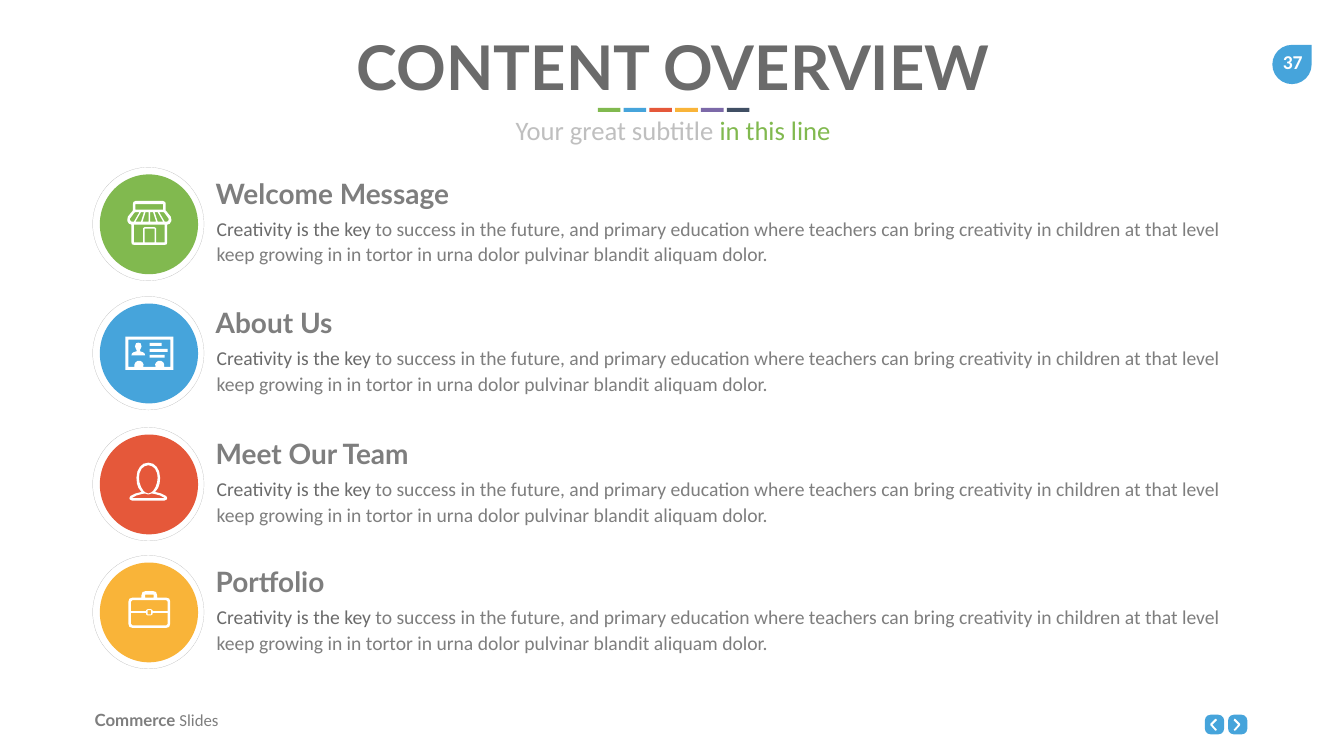
from pptx import Presentation
from pptx.dml.color import RGBColor
from pptx.enum.dml import MSO_LINE
from pptx.enum.shapes import MSO_SHAPE
from pptx.enum.text import PP_ALIGN
from pptx.util import Cm, Pt

RECT, OVAL = MSO_SHAPE.RECTANGLE, MSO_SHAPE.OVAL
ROUND, TEAR = MSO_SHAPE.ROUNDED_RECTANGLE, MSO_SHAPE.TEAR
LEFT, CENTER = PP_ALIGN.LEFT, PP_ALIGN.CENTER
DASH = MSO_LINE.SQUARE_DOT
ICON_UNIT = Cm(2.54) / 100
HEAD, BODY = "Lato", "Calibri"
COLORS = {
    "green": "81B94F", "blue": "46A4DB", "red": "E5583A", "yellow": "F9B439",
    "purple": "7C69A8", "navy": "404F64", "white": "FFFFFF", "dark": "6B6B6B",
    "gray": "7E7E7E", "light": "BFBFBF", "ring": "B2B2B2",
}


def mirrored(half, width):
    """Close an outline by reflecting its left half."""
    return half + [(width - x, y) for x, y in reversed(half)]


def flipped(points, width):
    return [(width - x, y) for x, y in points]


def block(x1, y1, x2, y2):
    return [(x1, y1), (x2, y1), (x2, y2), (x1, y2)]


# Icon outlines; inner contours cut holes
AWNING_EDGE = [(5, 38), (5, 35), (14, 23), (16, 22), (24, 22), (13, 41), (8, 41)]
AWNING_OUTER = [(27, 41), (16, 41), (27, 22), (33, 22)]
AWNING_INNER = [(36, 22), (42, 22), (42, 41), (30, 41)]
SHOP = [
    mirrored([(13, 87), (9, 86), (8, 82), (8, 47), (3, 45), (0, 40), (0, 36),
              (1, 31), (10, 20), (11, 19), (11, 6), (12, 2), (16, 0)], 87),
    block(16, 6, 71, 17),
    AWNING_EDGE, AWNING_OUTER, AWNING_INNER,
    flipped(AWNING_INNER, 87), flipped(AWNING_OUTER, 87), flipped(AWNING_EDGE, 87),
    mirrored([(31, 82), (13, 82), (13, 47)], 87)[:3]
    + [(74, 47), (74, 82), (57, 82), (57, 54), (54, 52), (34, 52), (31, 54)],
    block(34, 55, 54, 82),
]
CARD = [
    block(0, 0, 95, 66),
    mirrored([(6, 6), (6, 60), (18, 60), (18, 55), (20, 51), (24, 48), (27, 48),
              (30, 48), (34, 51), (36, 55), (35, 60)], 95),
    mirrored([(12, 37), (13, 33), (16, 31), (22, 29), (22, 26), (20, 22), (19, 19),
              (20, 16), (21, 13), (25, 12)], 51),
]
PERSON = [
    mirrored([(5, 75), (1, 73), (0, 70), (2, 66), (12, 61), (24, 58), (18, 50),
              (15, 41), (14, 30), (16, 17), (21, 8), (28, 2), (37, 0)], 75),
    mirrored([(37, 61), (32, 59), (28, 56), (23, 48), (20, 39), (19, 30), (20, 21),
              (24, 12), (30, 7), (37, 5)], 75),
    mirrored([(5, 70), (14, 65), (25, 62), (31, 61), (37, 63)], 75),
]
CASE = [
    mirrored([(8, 73), (2, 71), (0, 65), (0, 21), (2, 15), (8, 13), (26, 13),
              (26, 8), (28, 2), (34, 0)], 83),
    block(33, 7, 50, 13),
    mirrored([(8, 18), (5, 21), (5, 40), (35, 40), (35, 38), (38, 36)], 83),
    block(38, 38, 45, 46),
    mirrored([(38, 48), (35, 46), (35, 43), (5, 43), (5, 65), (8, 68)], 83),
]
NEXT = [(0, 22), (2, 24), (4, 23), (13, 13), (13, 10), (4, 1), (2, 0), (0, 3), (9, 12)]


class Deck:
    def __init__(self, width, height):
        self.prs = Presentation()
        self.prs.slide_width, self.prs.slide_height = Cm(width), Cm(height)
        self.s = self.prs.slides.add_slide(self.prs.slide_layouts[6])

    def color(self, name):
        return RGBColor.from_string(COLORS[name])

    def paint(self, sp, fill):
        sp.shadow.inherit = False
        sp.fill.solid()
        sp.fill.fore_color.rgb = self.color(fill)
        sp.line.fill.background()

    def shape(self, kind, x, y, w, h, fill):
        sp = self.s.shapes.add_shape(kind, Cm(x), Cm(y), Cm(w), Cm(h))
        self.paint(sp, fill)
        return sp

    def ring(self, x, y, w, h):
        sp = self.shape(OVAL, x, y, w, h, "white")
        sp.fill.background()
        sp.line.color.rgb = self.color("ring")
        sp.line.width = Pt(0.25)
        sp.line.dash_style = DASH

    def icon(self, x, y, contours):
        fb = self.s.shapes.build_freeform(*contours[0][0], scale=ICON_UNIT)
        fb.add_line_segments(contours[0][1:])
        for points in contours[1:]:
            fb.move_to(*points[0])
            fb.add_line_segments(points[1:])
        self.paint(fb.convert_to_shape(Cm(x), Cm(y)), "white")

    def text(self, x, y, w, h, runs, size, align=LEFT, pad=(0.25, 0.13),
             wrap=True, spacing=None):
        """Each run is (text, font, color, bold)."""
        tf = self.s.shapes.add_textbox(Cm(x), Cm(y), Cm(w), Cm(h)).text_frame
        tf.word_wrap = wrap
        tf.margin_left = tf.margin_right = Cm(pad[0])
        tf.margin_top = tf.margin_bottom = Cm(pad[1])
        p = tf.paragraphs[0]
        p.alignment = align
        if spacing:
            p.line_spacing = spacing
        for content, font, color, bold in runs:
            r = p.add_run()
            r.text = content
            r.font.name, r.font.size, r.font.bold = font, Pt(size), bold
            r.font.color.rgb = self.color(color)


def main():
    deck = Deck(67.72, 38.1)
    wide = (0.51, 0.25)

    # Navigation buttons
    for i, arrow in enumerate((flipped(NEXT, 13), NEXT)):
        x = 60.71 + i * 1.17
        deck.shape(ROUND, x, 36.02, 0.97, 0.99, "blue").adjustments[0] = 0.3
        deck.icon(x + 0.28, 36.22, [arrow])

    # Page number and footer
    deck.shape(TEAR, 64.11, 2.26, 1.98, 1.98, "blue")
    deck.text(64.03, 2.29, 2.21, 1.7, [("37", BODY, "white", True)], 28,
              CENTER, wide, wrap=False)
    deck.text(4.52, 35.66, 10.16, 1.27, [("Commerce ", HEAD, "gray", True),
                                         ("Slides", BODY, "gray", False)], 24)

    # Title, colour bars, subtitle
    deck.text(4.83, 1.35, 58.17, 4.01,
              [("CONTENT OVERVIEW", HEAD, "dark", True)], 88, CENTER)
    for i, name in enumerate(("green", "blue", "red", "yellow", "purple", "navy")):
        deck.shape(RECT, 30.12 + i * 1.3, 5.44, 1.14, 0.2, name)
    deck.text(4.83, 5.59, 58.17, 1.88,
              [("Your great subtitle ", BODY, "light", False),
               ("in this line", BODY, "green", False)], 38, CENTER)

    # Content rows: heading, heading width, ring top, colour, icon, icon offset
    rows = [
        ("Welcome Message", 12.93, 8.43, "green", SHOP, (1.75, 1.7)),
        ("About Us", 6.96, 14.94, "blue", CARD, (1.65, 2.03)),
        ("Meet Our Team", 10.92, 21.54, "red", PERSON, (1.85, 1.78)),
        ("Portfolio", 6.73, 27.99, "yellow", CASE, (1.8, 1.8)),
    ]
    body = [
        ("Creativity is the key ", BODY, "dark", False),
        ("to success in the future, and primary education where teachers can "
         "bring creativity in children at that level keep growing in in tortor "
         "in urna dolor pulvinar blandit aliquam dolor.", BODY, "gray", False),
    ]
    left = 4.67
    for heading, width, top, name, icon, (dx, dy) in rows:
        deck.shape(OVAL, left + 0.36, top + 0.36, 4.95, 5.03, name)
        deck.ring(left, top, 5.61, 5.72)
        deck.text(10.36, top + 0.23, width, 2.24, [(heading, HEAD, "gray", True)],
                  40, pad=wide, wrap=False)
        deck.text(10.41, top + 2.11, 53.09, 3.12, body, 28, pad=wide, spacing=1.1)
        deck.icon(left + dx, top + dy, icon)
        if icon is CARD:
            # Text lines on the identity card
            for i, length in enumerate((0.61, 0.91, 0.76)):
                deck.shape(RECT, left + 2.87, top + 2.34 + i * 0.3, length, 0.15, "white")

    deck.prs.save("out.pptx")


if __name__ == "__main__":
    main()
